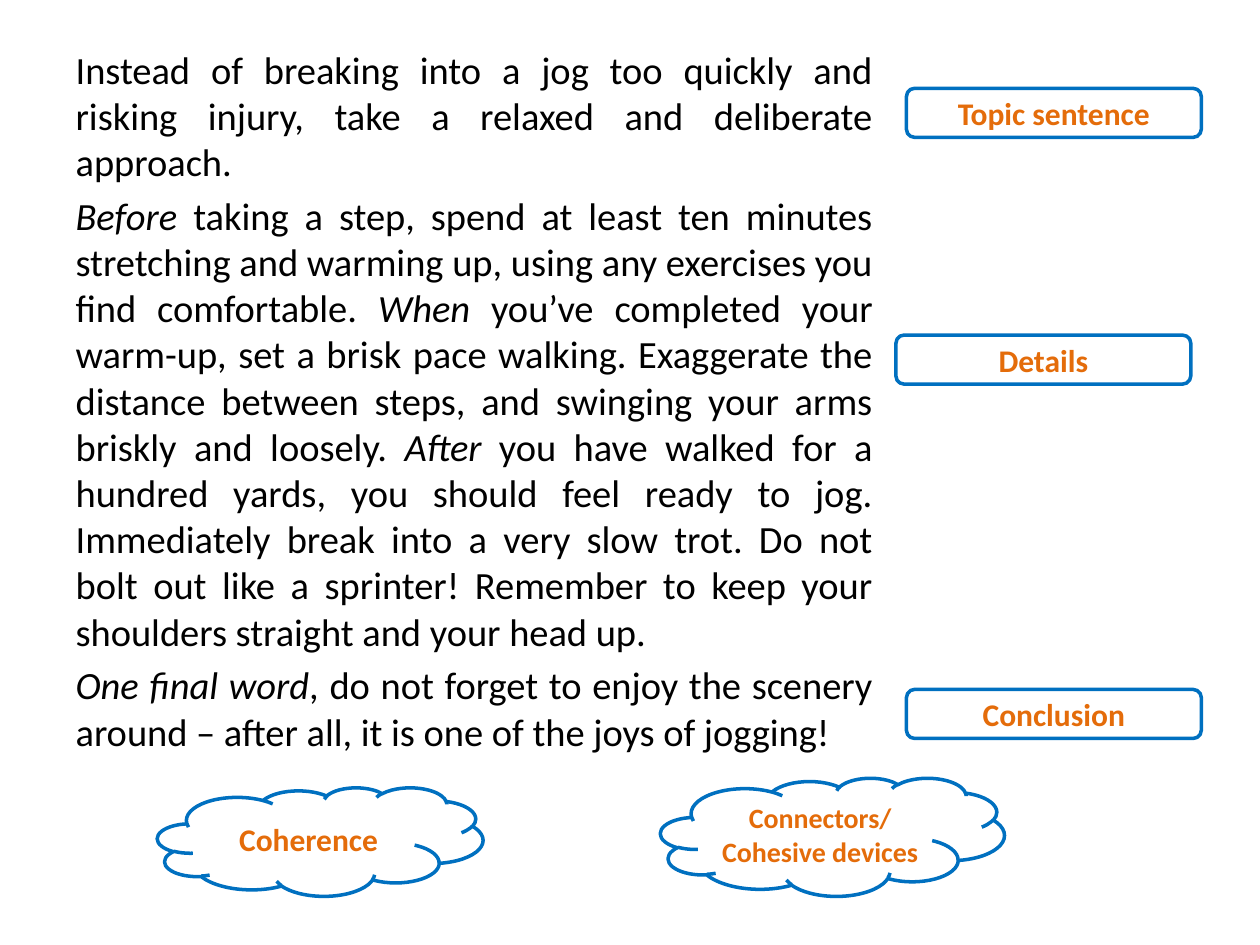
from dataclasses import dataclass

from lxml import etree
from pptx import Presentation
from pptx.dml.color import RGBColor
from pptx.enum.shapes import MSO_SHAPE
from pptx.enum.text import MSO_ANCHOR, MSO_AUTO_SIZE, PP_ALIGN
from pptx.oxml.ns import qn
from pptx.util import Pt

ROUNDED, CLOUD = MSO_SHAPE.ROUNDED_RECTANGLE, MSO_SHAPE.CLOUD
JUSTIFY, CENTER = PP_ALIGN.JUSTIFY, PP_ALIGN.CENTER
MIDDLE, NO_AUTOFIT = MSO_ANCHOR.MIDDLE, MSO_AUTO_SIZE.NONE


@dataclass(frozen=True)
class Theme:
    font: str = "Calibri"
    ink: RGBColor = RGBColor(0x00, 0x00, 0x00)
    outline: RGBColor = RGBColor(0x00, 0x70, 0xC0)
    accent: RGBColor = RGBColor(0xE4, 0x6C, 0x0A)
    body_size: float = 22
    label_size: float = 18
    small_label_size: float = 16
    outline_width: float = 2


THEME = Theme()

# Each paragraph is a list of (text, is italic)
PASSAGE = [
    [("Instead of breaking into a jog too quickly and risking injury, "
      "take a relaxed and deliberate approach.", False)],
    [("Before", True),
     (" taking a step, spend at least ten minutes stretching and warming up, "
      "using any exercises you find comfortable. ", False),
     ("When", True),
     (" you’ve completed your warm-up, set a brisk pace walking. Exaggerate "
      "the distance between steps, and swinging your arms briskly and "
      "loosely. ", False),
     ("After", True),
     (" you have walked for a hundred yards, you should feel ready to jog. "
      "Immediately break into a very slow trot. Do not bolt out like a "
      "sprinter! Remember to keep your shoulders straight and your head up.",
      False)],
    [("One final word", True),
     (", do not forget to enjoy the scenery around – after all, it is one of "
      "the joys of jogging!", False)],
]


def set_font(font, size, color):
    font.name = THEME.font
    font.size = Pt(size)
    font.color.rgb = color


def add_passage(slide, left, top, width, height):
    """Fill the body placeholder with the sample paragraph."""
    passage = slide.placeholders[1]
    passage.left, passage.top = Pt(left), Pt(top)
    passage.width, passage.height = Pt(width), Pt(height)
    frame = passage.text_frame
    frame.word_wrap = True
    frame.auto_size = NO_AUTOFIT
    for index, parts in enumerate(PASSAGE):
        paragraph = frame.add_paragraph() if index else frame.paragraphs[0]
        properties = paragraph._p.get_or_add_pPr()
        properties.set("marL", "0")
        properties.set("indent", "0")
        etree.SubElement(properties, qn("a:buNone"))
        paragraph.alignment = JUSTIFY
        paragraph.space_before = Pt(0.2 * THEME.body_size if index else 0)
        set_font(paragraph.font, THEME.body_size, THEME.ink)
        for text, italic in parts:
            run = paragraph.add_run()
            run.text = text
            run.font.italic = italic


def add_label(slide, outline, text, left, top, width, height,
              size=THEME.label_size):
    """Draw an unfilled outline with a bold centred label."""
    label = slide.shapes.add_shape(outline, Pt(left), Pt(top),
                                   Pt(width), Pt(height))
    label.shadow.inherit = False
    label.fill.background()
    label.line.color.rgb = THEME.outline
    label.line.width = Pt(THEME.outline_width)
    frame = label.text_frame
    frame.word_wrap = True
    frame.vertical_anchor = MIDDLE
    paragraph = frame.paragraphs[0]
    paragraph.text = text
    paragraph.alignment = CENTER
    set_font(paragraph.font, size, THEME.accent)
    paragraph.font.bold = True


def add_part_labels(slide, left, top, width, height):
    """Name the parts of the paragraph beside it."""
    for text, indent, drop in (("Topic sentence", 6, 0),
                               ("Details", 0, 141),
                               ("Conclusion", 6, 343.5)):
        add_label(slide, ROUNDED, text, left + indent, top + drop,
                  width, height)


def add_quality_clouds(slide, left, bottom):
    """Stand both clouds on a common bottom line."""
    for text, offset, width, height, size in (
            ("Connectors/ Cohesive devices", 287.5, 196.5, 67.5,
             THEME.small_label_size),
            ("Coherence", 0, 186, 62, THEME.label_size)):
        add_label(slide, CLOUD, text, left + offset, bottom - height,
                  width, height, size)


def main():
    deck = Presentation()
    deck.slide_width, deck.slide_height = Pt(720), Pt(540)
    slide = deck.slides.add_slide(deck.slide_layouts[1])
    # The slide has no title
    title = slide.shapes.title.element
    title.getparent().remove(title)

    add_passage(slide, 36, 22.5, 470, 443)
    add_part_labels(slide, 512, 50.5, 168.5, 28)
    add_quality_clouds(slide, 90, 512)
    deck.save("out.pptx")


if __name__ == "__main__":
    main()
